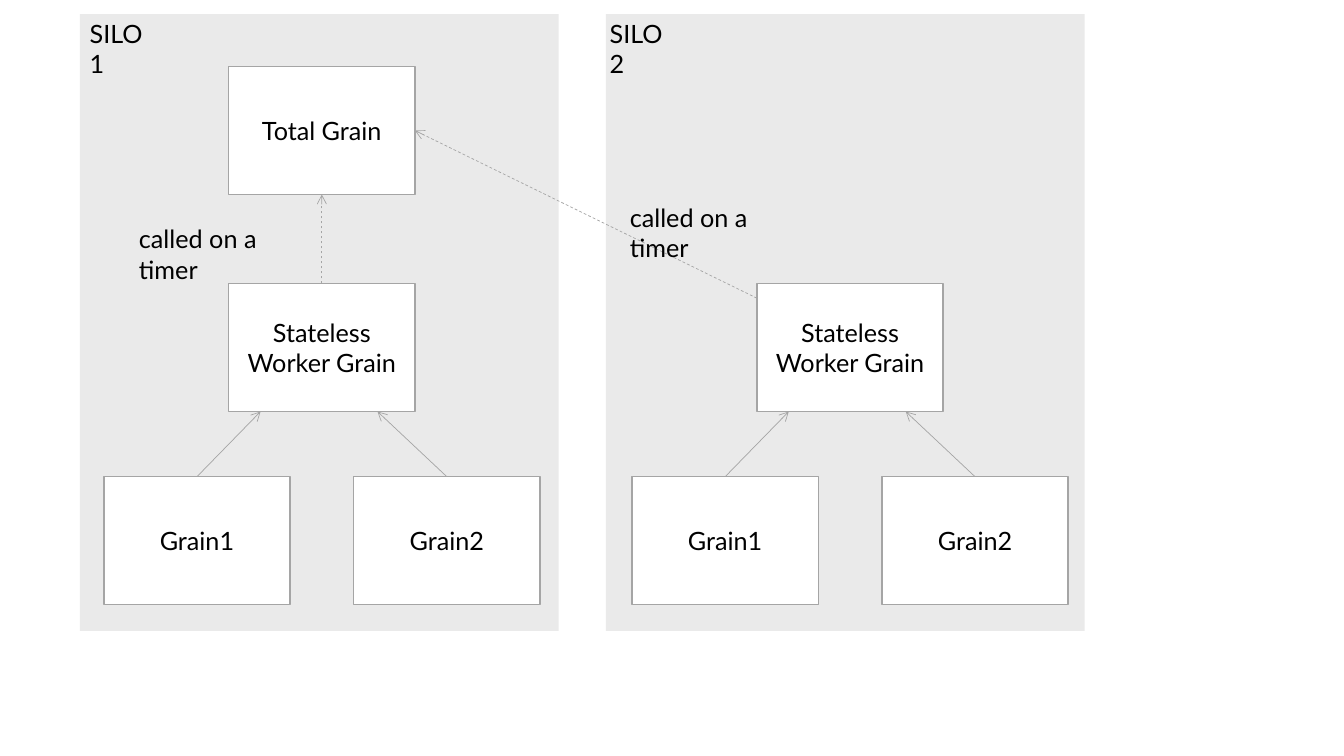
from dataclasses import dataclass

from lxml import etree
from pptx import Presentation
from pptx import util as u
from pptx.dml.color import RGBColor
from pptx.enum import dml, shapes, text
from pptx.oxml.ns import qn

Pt = u.Pt
PANEL = RGBColor(0xBF, 0xBF, 0xBF)
EDGE = RGBColor(0xA5, 0xA5, 0xA5)
WHITE = RGBColor(0xFF, 0xFF, 0xFF)
BLACK = RGBColor(0, 0, 0)

BOX_W, BOX_H = 133, 91.5
TOTAL_Y, WORK_Y, GRAIN_Y = 47.5, 202.5, 340.5
WORK_DX, GRAIN_GAP = 89.2, 178.5
TOP, LEFT, BOTTOM, RIGHT = 0, 1, 2, 3


@dataclass
class Silo:
    left: float
    grain_x: float

    @property
    def work_x(self) -> float:
        return self.grain_x + WORK_DX


@dataclass
class Label:
    words: str
    left: float
    top: float
    width: float


SILOS = [Silo(57, 74.2), Silo(432.7, 451.5)]
LABELS = [
    Label("SILO1", 57, 9.4, 55.4),
    Label("SILO2", 428.4, 9.4, 58.3),
    Label("called on a timer", 92.2, 156.2, 141.8),
    Label("called on a timer", 442.8, 141.1, 141.8),
]


def style(frame) -> None:
    for run in frame.paragraphs[0].runs:
        run.font.name = "Lato"
        run.font.size = Pt(18)
        run.font.color.rgb = BLACK


def add_rect(slide, x: float, y: float, w: float, h: float, fill: RGBColor):
    rect = slide.shapes.add_shape(
        shapes.MSO_SHAPE.RECTANGLE, Pt(x), Pt(y), Pt(w), Pt(h))
    rect.shadow.inherit = False
    rect.fill.solid()
    rect.fill.fore_color.rgb = fill
    return rect


def add_panel(slide, silo: Silo) -> None:
    """Draw the see-through background of a silo."""
    panel = add_rect(slide, silo.left, 10, 342, 440.6, PANEL)
    panel.line.fill.background()
    tint = panel.fill._xPr.find(".//" + qn("a:srgbClr"))
    etree.SubElement(tint, qn("a:alpha"), val="32000")


def add_box(slide, words: str, x: float, y: float):
    box = add_rect(slide, x, y, BOX_W, BOX_H, WHITE)
    box.line.color.rgb = EDGE
    box.line.width = Pt(1)
    frame = box.text_frame
    frame.text = words
    frame.word_wrap = True
    frame.vertical_anchor = text.MSO_ANCHOR.MIDDLE
    frame.paragraphs[0].alignment = text.PP_ALIGN.CENTER
    style(frame)
    return box


def add_arrow(slide, start: tuple, end: tuple, dashed: bool = False):
    arrow = slide.shapes.add_connector(
        shapes.MSO_CONNECTOR.STRAIGHT, *map(Pt, start + end))
    arrow.line.color.rgb = EDGE
    arrow.line.width = Pt(0.5)
    if dashed:
        arrow.line.dash_style = dml.MSO_LINE.DASH
    etree.SubElement(arrow.line._get_or_add_ln(), qn("a:tailEnd"), type="arrow")
    etree.SubElement(arrow._element.spPr, qn("a:effectLst"))
    return arrow


def add_silo(slide, silo: Silo):
    """Draw the grains of a silo and return its worker box."""
    work = add_box(slide, "Stateless Worker Grain", silo.work_x, WORK_Y)
    for i, tip_dx in enumerate((22.7, 106.3)):
        x = silo.grain_x + i * GRAIN_GAP
        grain = add_box(slide, f"Grain{i + 1}", x, GRAIN_Y)
        tip = (silo.work_x + tip_dx, WORK_Y + BOX_H)
        arrow = add_arrow(slide, (x + BOX_W / 2, GRAIN_Y), tip)
        arrow.begin_connect(grain, TOP)
    return work


def add_label(slide, label: Label) -> None:
    box = slide.shapes.add_textbox(
        Pt(label.left), Pt(label.top), Pt(label.width), Pt(29))
    frame = box.text_frame
    frame.text = label.words
    frame.word_wrap = True
    style(frame)


def main() -> None:
    deck = Presentation()
    deck.slide_width, deck.slide_height = Pt(960), Pt(540)
    slide = deck.slides.add_slide(deck.slide_layouts[6])

    for silo in SILOS:
        add_panel(slide, silo)
    near, far = SILOS
    near_work = add_silo(slide, near)
    add_silo(slide, far)

    total = add_box(slide, "Total Grain", near.work_x, TOTAL_Y)
    mid = near.work_x + BOX_W / 2
    rise = add_arrow(slide, (mid, WORK_Y), (mid, TOTAL_Y + BOX_H), True)
    rise.begin_connect(near_work, TOP)
    rise.end_connect(total, BOTTOM)
    side = (near.work_x + BOX_W, TOTAL_Y + BOX_H / 2)
    cross = add_arrow(slide, (far.work_x, 213), side, True)
    cross.end_connect(total, RIGHT)

    for label in LABELS:
        add_label(slide, label)
    deck.save("out.pptx")


if __name__ == "__main__":
    main()
